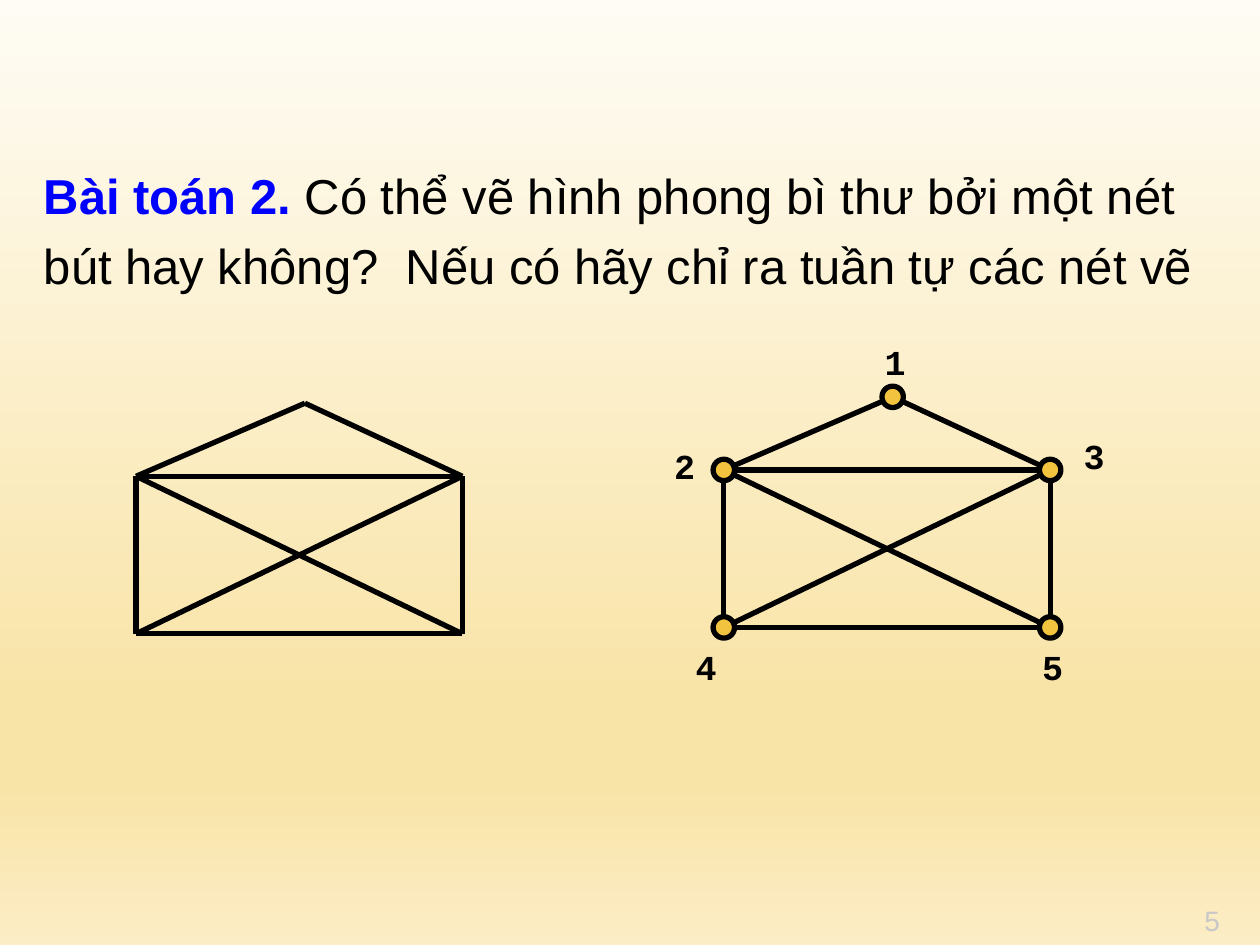
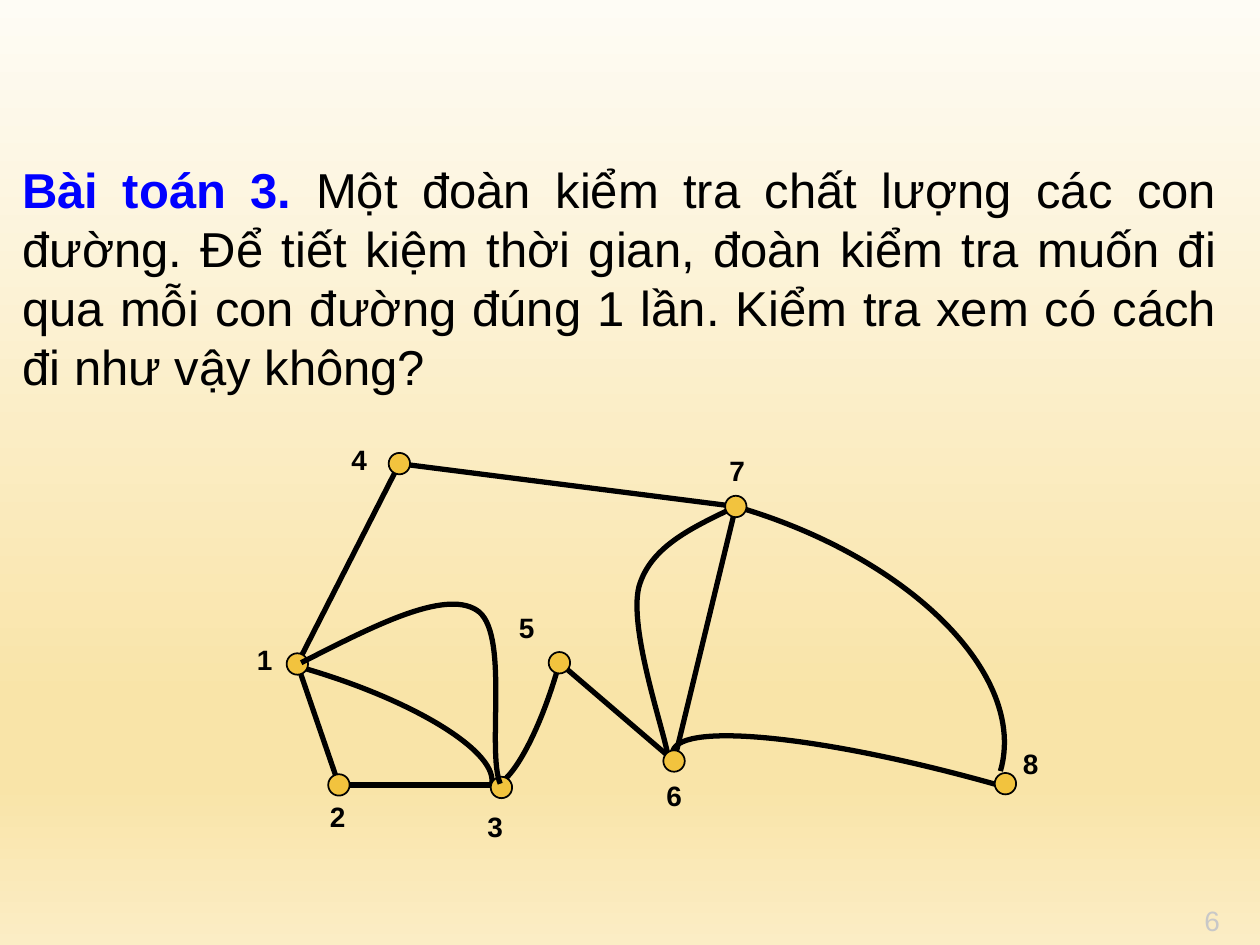
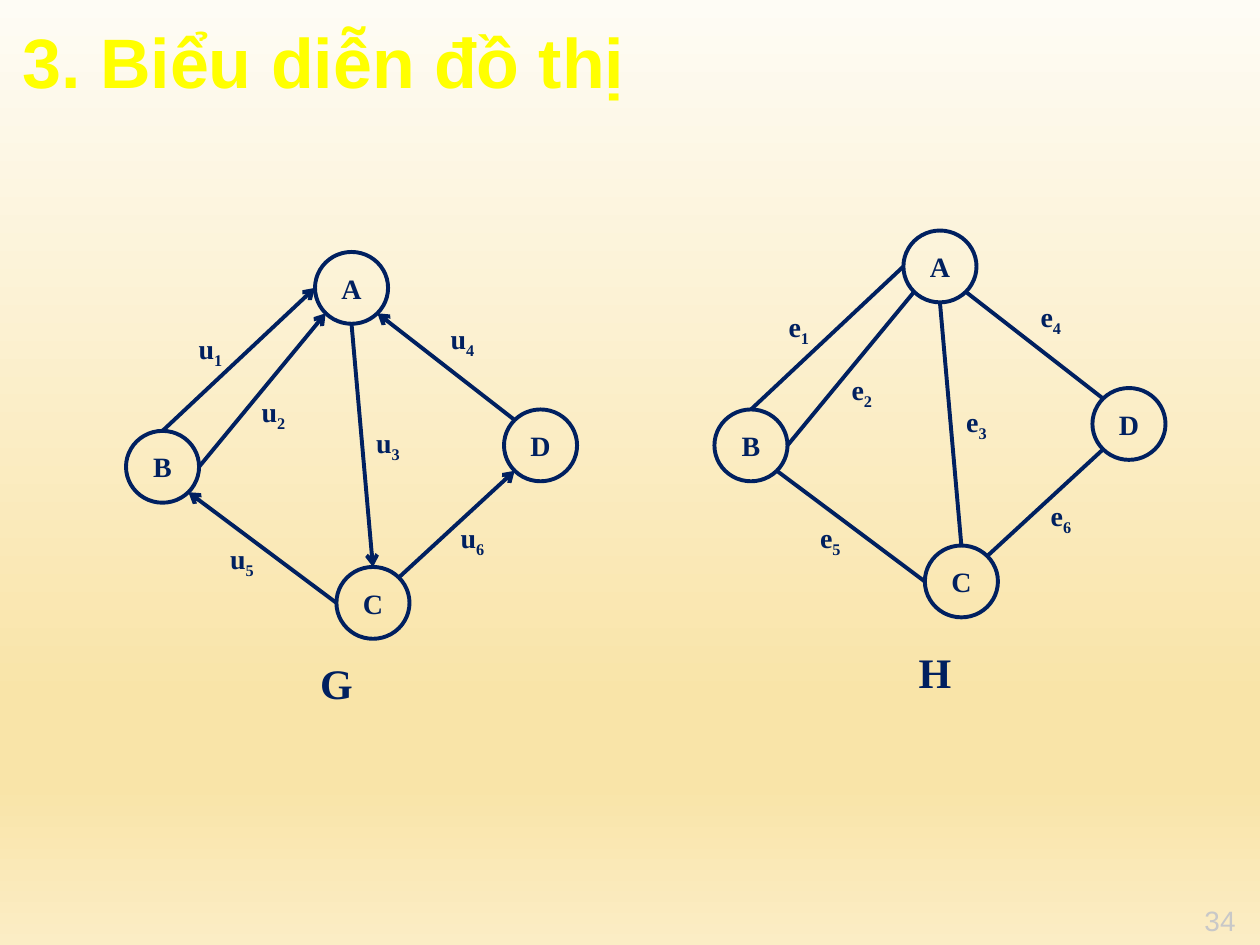
from math import cos, radians, sin

from lxml import etree
from pptx import Presentation
from pptx.dml.color import RGBColor
from pptx.enum.shapes import MSO_CONNECTOR, MSO_SHAPE
from pptx.enum.text import MSO_ANCHOR, PP_ALIGN
from pptx.oxml.ns import qn
from pptx.util import Inches, Pt

STRAIGHT = MSO_CONNECTOR.STRAIGHT
OVAL = MSO_SHAPE.OVAL
MIDDLE = MSO_ANCHOR.MIDDLE
LEFT, CENTER, JUSTIFY = PP_ALIGN.LEFT, PP_ALIGN.CENTER, PP_ALIGN.JUSTIFY

COLORS = {
    "ink": "000000",
    "heading": "0000FF",
    "title": "FFFF00",
    "navy": "002060",
    "node": "F2C33E",
    "page": "C8C8C8",
}
BACKGROUND = [(0, "FEFCF5"), (74, "F9E4A8"), (83, "F9E4A8"), (100, "FBEDC5")]
DOT = 0.17


def write(shape, parts, size, font="Arial", align=CENTER, wrap=False):
    """Fill a shape with one paragraph of (text, colour, bold) parts."""
    frame = shape.text_frame
    frame.word_wrap = wrap
    paragraph = frame.paragraphs[0]
    paragraph.alignment = align
    for text, color, bold in parts:
        run = paragraph.add_run()
        run.text = text
        run.font.name = font
        run.font.size = Pt(size)
        run.font.bold = bold
        run.font.color.rgb = RGBColor.from_string(COLORS[color])
    return paragraph


def link(slide, start, end, color="ink", weight=3, arrow=False):
    edge = slide.shapes.add_connector(STRAIGHT, *map(Inches, (*start, *end)))
    edge.line.color.rgb = RGBColor.from_string(COLORS[color])
    edge.line.width = Pt(weight)
    if arrow:
        etree.SubElement(edge.line._get_or_add_ln(), qn("a:tailEnd"), type="arrow")
    etree.SubElement(edge._element.spPr, qn("a:effectLst"))


prs = Presentation()
prs.slide_width, prs.slide_height = Inches(10), Inches(7.5)

# Shared background and page numbers
backdrop = prs.slide_master.background.fill
backdrop.gradient()
backdrop.gradient_angle = 270
stops = prs.slide_master._element.find(".//" + qn("p:bg")).find(".//" + qn("a:gsLst"))
for stop in list(stops):
    stops.remove(stop)
for percent, color in BACKGROUND:
    stop = etree.SubElement(stops, qn("a:gs"), pos=str(percent * 1000))
    etree.SubElement(stop, qn("a:srgbClr"), val=color)

slides = []
for number in ("5", "6", "34"):
    slide = prs.slides.add_slide(prs.slide_layouts[6])
    page = slide.shapes.add_textbox(*map(Inches, (9.56, 7.17, 0.27, 0.27)))
    frame = page.text_frame
    frame.margin_left = frame.margin_right = frame.margin_top = frame.margin_bottom = 0
    write(page, [(number, "page", False)], 16, align=LEFT)
    slides.append(slide)
envelope_slide, roads_slide, graphs_slide = slides

# Problem statements
problems = [
    (envelope_slide, (0.25, 1.17, 9.5, 1.17), LEFT, 1.2, "Bài toán 2. ",
     "Có thể vẽ hình phong bì thư bởi một nét bút hay không?  "
     "Nếu có hãy chỉ ra tuần tự các nét vẽ"),
    (roads_slide, (0.08, 1.22, 9.67, 2.06), JUSTIFY, 1.0, "Bài toán 3. ",
     "Một đoàn kiểm tra chất lượng các con đường. Để tiết kiệm thời gian, "
     "đoàn kiểm tra muốn đi qua mỗi con đường đúng 1 lần. "
     "Kiểm tra xem có cách đi như vậy không? "),
]
for slide, box, align, spacing, heading, question in problems:
    statement = slide.shapes.add_textbox(*map(Inches, box))
    parts = [(heading, "heading", True), (question, "ink", False)]
    write(statement, parts, 28, align=align, wrap=True).line_spacing = spacing

# Envelope: plain drawing, then the same drawing as a numbered graph
corners = {"1": (2.42, 3.2), "2": (1.08, 3.78), "3": (3.67, 3.78),
           "4": (1.08, 5.03), "5": (3.67, 5.03)}
vertices = {name: (x + 4.665, y - 0.05) for name, (x, y) in corners.items()}
for points in (corners, vertices):
    for start, end in ("12", "13", "23", "24", "45", "35", "43", "25"):
        link(envelope_slide, points[start], points[end])
vertex_labels = {"1": (6.92, 2.65), "2": (5.25, 3.48), "3": (8.5, 3.4),
                 "4": (5.42, 5.07), "5": (8.17, 5.07)}

# Roads: straight ones, then cubic curves
towns = {"1": (2.36, 5.27), "2": (2.69, 6.23), "3": (3.98, 6.25), "4": (3.17, 3.68),
         "5": (4.44, 5.26), "6": (5.35, 6.04), "7": (5.84, 4.02), "8": (7.98, 6.22)}
town_labels = {"1": (1.94, 5.05), "2": (2.52, 6.3), "3": (3.77, 6.38), "4": (2.69, 3.46),
               "5": (4.02, 4.8), "6": (5.19, 6.13), "7": (5.69, 3.55), "8": (8.02, 5.88)}
for start, end in ("14", "47", "56", "67", "12"):
    link(roads_slide, towns[start], towns[end])
link(roads_slide, towns["2"], (3.9, 6.23))

curved_roads = [
    [(5.82, 4.03), (5.49, 4.19), (5.16, 4.34), (5.07, 4.66),
     (4.99, 4.99), (5.26, 5.77), (5.3, 5.99)],
    [(2.4, 5.3), (3.3, 5.56), (3.97, 5.98), (3.9, 6.23)],
    [(3.9, 6.23), (4.03, 6.27), (4.28, 5.84), (4.44, 5.26)],
    [(5.84, 4.02), (7.22, 4.42), (8.16, 5.36), (7.94, 6.12)],
    [(7.99, 6.25), (6.6, 5.85), (5.41, 5.72), (5.34, 5.96)],
    [(2.39, 5.26), (2.96, 4.97), (3.52, 4.68), (3.78, 4.84),
     (4.05, 5), (3.86, 5.96), (3.97, 6.22)],
]
for controls in curved_roads:
    controls = [(Inches(x), Inches(y)) for x, y in controls]
    builder = roads_slide.shapes.build_freeform(*controls[0])
    builder.add_line_segments(controls[3::3], close=False)
    road = builder.convert_to_shape()
    # Bend every straight segment with its two control points
    for index, segment in enumerate(list(road._element.iter(qn("a:lnTo")))):
        curve = etree.Element(qn("a:cubicBezTo"))
        for x, y in controls[3 * index + 1:3 * index + 4]:
            etree.SubElement(curve, qn("a:pt"), x=str(x - road.left), y=str(y - road.top))
        segment.getparent().replace(segment, curve)
    road.shadow.inherit = False
    road.fill.background()
    road.line.color.rgb = RGBColor.from_string(COLORS["ink"])
    road.line.width = Pt(3)

# Numbered dots of both graphs
numbered_graphs = [
    (envelope_slide, vertices, vertex_labels, 3, (0.37, 0.43), 20, "Courier New"),
    (roads_slide, towns, town_labels, 1, (0.32, 0.37), 16, "Arial"),
]
for slide, points, labels, outline, label_size, size, font in numbered_graphs:
    for x, y in points.values():
        dot = slide.shapes.add_shape(
            OVAL, *map(Inches, (x - DOT / 2, y - DOT / 2, DOT, DOT)))
        dot.shadow.inherit = False
        dot.fill.solid()
        dot.fill.fore_color.rgb = RGBColor.from_string(COLORS["node"])
        dot.line.color.rgb = RGBColor.from_string(COLORS["ink"])
        dot.line.width = Pt(outline)
    for name, corner in labels.items():
        label = slide.shapes.add_textbox(*map(Inches, (*corner, *label_size)))
        write(label, [(name, "ink", True)], size, font)

# The upper road from 1 to 3 lies over the dots
roads_slide.shapes._spTree.append(road._element)

# Directed graph G and undirected graph H
title = graphs_slide.shapes.add_textbox(*map(Inches, (0.08, 0, 9.42, 1.05)))
title.text_frame.vertical_anchor = MIDDLE
write(title, [("3. Biểu diễn đồ thị", "title", True)], 40,
      align=LEFT, wrap=True).line_spacing = 0.9

NODE_W, NODE_H = 0.58, 0.57
ANGLES = {"E": 0, "SE": 45, "S": 90, "SW": 135, "W": 180, "N": 270, "NW": 225, "NE": 315}
nodes = {"A": (2.5, 2), "B": (1, 3.42), "C": (2.67, 4.5), "D": (4, 3.25)}
# Start node and side, end node and side, place of the label
edges = [
    ("B", "N", "A", "W", (1.42, 2.58)),
    ("B", "E", "A", "SW", (1.92, 3.08)),
    ("A", "S", "C", "N", (2.83, 3.33)),
    ("D", "NW", "A", "SE", (3.42, 2.5)),
    ("C", "W", "B", "SE", (1.67, 4.25)),
    ("C", "NE", "D", "SW", (3.5, 4.08)),
]
graphs = [("G", "u", 0, 0, True, (2.42, 5.17)), ("H", "e", 4.67, -0.17, False, (7.17, 5.08))]
for graph, letter, dx, dy, directed, caption_at in graphs:
    for name, (x, y) in nodes.items():
        node = graphs_slide.shapes.add_shape(
            OVAL, *map(Inches, (x + dx, y + dy, NODE_W, NODE_H)))
        node.shadow.inherit = False
        node.fill.background()
        node.line.color.rgb = RGBColor.from_string(COLORS["navy"])
        node.line.width = Pt(2.25)
        node.text_frame.vertical_anchor = MIDDLE
        write(node, [(name, "navy", True)], 16, "Times New Roman")
    for index, (start, start_side, end, end_side, (x, y)) in enumerate(edges, 1):
        ends = []
        for name, side in ((start, start_side), (end, end_side)):
            angle = radians(ANGLES[side])
            ends.append((nodes[name][0] + dx + NODE_W / 2 * (1 + cos(angle)),
                         nodes[name][1] + dy + NODE_H / 2 * (1 + sin(angle))))
        link(graphs_slide, *ends, color="navy", weight=2.25, arrow=directed)
        label = graphs_slide.shapes.add_textbox(*map(Inches, (x + dx, y + dy, 0.5, 0.4)))
        parts = [(letter, "navy", True), (str(index), "navy", True)]
        subscript = write(label, parts, 16, "Times New Roman", wrap=True).runs[1]
        subscript.font._element.set("baseline", "-25000")
    caption = graphs_slide.shapes.add_textbox(*map(Inches, (*caption_at, 0.5, 0.51)))
    write(caption, [(graph, "navy", True)], 24, "Times New Roman", wrap=True)

prs.save("out.pptx")
